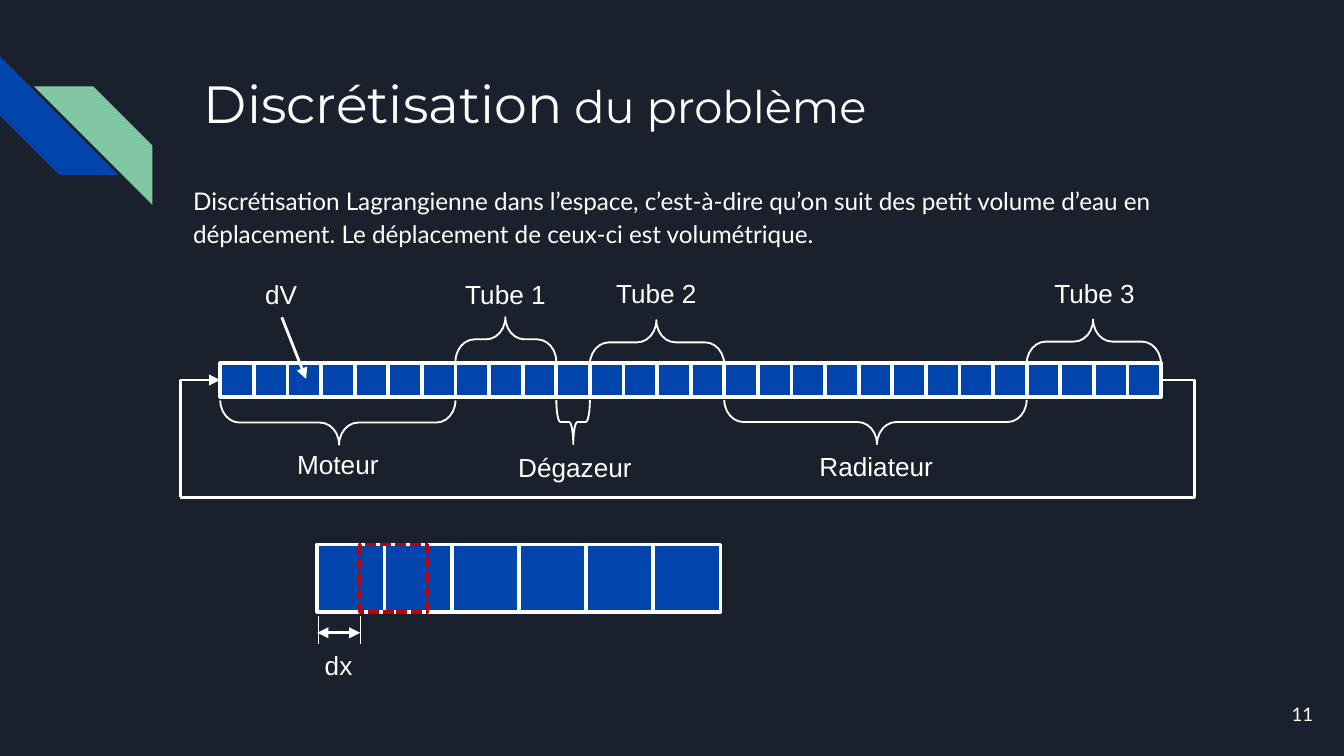
from dataclasses import dataclass

from pptx import Presentation
from pptx.dml.color import RGBColor
from pptx.enum.dml import MSO_LINE_DASH_STYLE as Dash
from pptx.enum.shapes import MSO_CONNECTOR_TYPE as Link, MSO_SHAPE as Shape
from pptx.enum.text import MSO_ANCHOR as Anchor, PP_ALIGN as Align
from pptx.oxml.ns import qn
from pptx.oxml.xmlchemy import OxmlElement
from pptx.util import Pt


@dataclass(frozen=True)
class Theme:
    """Colours, fonts and type sizes of the deck."""
    ground: str = "1B212C"
    blue: str = "0145AC"
    navy: str = "01337F"
    green: str = "82C7A5"
    white: str = "FFFFFF"
    red: str = "C00000"
    heading: str = "Montserrat"
    body: str = "Lato"
    label: str = "Arial"
    title_size: float = 28
    subtitle_size: float = 24
    body_size: float = 13
    label_size: float = 14
    number_size: float = 10


THEME = Theme()


def colour(code):
    """Turn a hex code into a colour."""
    return RGBColor.from_string(code)


def add_text(page, area, spans, font, align=Align.LEFT, inset=(7.2, 7.2),
             anchor=Anchor.TOP, spacing=None):
    """Add a text box of one paragraph from (text, size) spans."""
    box = page.shapes.add_textbox(*map(Pt, area))
    frame = box.text_frame
    frame.word_wrap = True
    frame.vertical_anchor = anchor
    frame.margin_left = frame.margin_right = Pt(inset[0])
    frame.margin_top = frame.margin_bottom = Pt(inset[1])
    para = frame.paragraphs[0]
    para.alignment = align
    if spacing:
        para.line_spacing = spacing
    for text, size in spans:
        span = para.add_run()
        span.text = text
        span.font.name = font
        span.font.size = Pt(size)
        span.font.color.rgb = colour(THEME.white)


def add_label(page, centre, top, text, width=84):
    """Add a centred diagram label."""
    add_text(page, (centre - width / 2, top, width, 24.5), [(text, THEME.label_size)],
             THEME.label, Align.CENTER, (7.2, 3.6))


def add_figure(page, kind, area, fill=None, line=None, width=2):
    """Add a preset shape with optional fill and outline."""
    figure = page.shapes.add_shape(kind, *map(Pt, area))
    figure.shadow.inherit = False
    if fill:
        figure.fill.solid()
        figure.fill.fore_color.rgb = colour(fill)
    else:
        figure.fill.background()
    if line:
        figure.line.color.rgb = colour(line)
        figure.line.width = Pt(width)
    else:
        figure.line.fill.background()
    return figure


def add_stripe(page, left, top, fill):
    """Add one diagonal corner stripe."""
    return add_figure(page, Shape.DIAGONAL_STRIPE, (left, top, 63.5, 63.5), fill)


def add_cells(page, left, top, size, count):
    """Add a blue bar divided into square volumes."""
    add_figure(page, Shape.RECTANGLE, (left, top, size * count, size), THEME.blue, THEME.navy)
    for index in range(count):
        add_figure(page, Shape.RECTANGLE, (left + index * size, top, size, size),
                   line=THEME.white)


def add_brace(page, left, span, middle, rotation, curve):
    """Add a horizontal brace over a span, centred on a height."""
    depth = 23.8
    area = (left + span / 2 - depth / 2, middle - span / 2, depth, span)
    brace = add_figure(page, Shape.RIGHT_BRACE, area, line=THEME.white, width=1)
    brace.rotation = rotation
    brace.adjustments[0] = curve
    brace.adjustments[1] = 0.495


def add_line(page, start, end, width=1.5, arrows=(), kind=Link.STRAIGHT):
    """Add a white connector with triangles at the named ends."""
    line = page.shapes.add_connector(kind, *map(Pt, (*start, *end)))
    line.line.color.rgb = colour(THEME.white)
    line.line.width = Pt(width)
    for name in arrows:
        tip = OxmlElement(f"a:{name}")
        tip.set("type", "triangle")
        line.line._ln.append(tip)
    line._element.spPr.append(OxmlElement("a:effectLst"))
    return line


def add_return_loop(page, left, right, middle, bottom):
    """Add the loop leading from the end of the row back to its start."""
    corner = left - 21.5
    outward = add_line(page, (right, middle), (corner, bottom), kind=Link.ELBOW)
    guide = OxmlElement("a:gd")
    guide.set("name", "adj1")
    guide.set("fmla", "val -3400")
    outward._element.spPr.find(qn("a:prstGeom")).get_or_add_avLst().append(guide)

    centre_x, centre_y = (corner + left) / 2, (middle + bottom) / 2
    half_x, half_y = (bottom - middle) / 2, (left - corner) / 2
    inward = add_line(page, (centre_x + half_x, centre_y + half_y),
                      (centre_x - half_x, centre_y - half_y),
                      arrows=["tailEnd"], kind=Link.ELBOW)
    properties = inward._element.spPr
    properties.find(qn("a:prstGeom")).set("prst", "bentConnector2")
    properties.find(qn("a:xfrm")).set("rot", "5400000")


def add_circuit(page):
    """Add the row of water volumes with its named sections."""
    left, top, size, count = 118, 194.6, 18, 28
    add_cells(page, left, top, size, count)
    sections = [
        ("Moteur", 0, 7, 226.4, 181, 236.9),
        ("Tube 1", 7, 3, 181.8, 270.8, 145.4),
        ("Dégazeur", 10, 1, 226.1, 308, 238.3),
        ("Tube 2", 11, 4, 183.4, 351.6, 145),
        ("Radiateur", 15, 9, 226.1, 469.4, 237.6),
        ("Tube 3", 24, 4, 183, 586.4, 144.9),
    ]
    for text, first, cells, middle, centre, label_top in sections:
        rotation = 90 if middle > top else 270
        curve = 0.123 if cells == 1 else 0.432
        add_brace(page, left + first * size, cells * size, middle, rotation, curve)
        add_label(page, centre, label_top, text)
    add_label(page, 150.6, 145.6, "dV", 32)
    add_line(page, (151, 170), (164, 203), arrows=["tailEnd"])
    add_return_loop(page, left, left + size * count, top + size / 2, 266.4)


def add_shift(page):
    """Add the enlarged volumes and their shift dx."""
    left, top, size, shift = 170, 291.8, 36, 23
    add_cells(page, left, top, size, 6)
    moved = add_figure(page, Shape.RECTANGLE, (left + shift, top, size, size), line=THEME.red)
    moved.line.dash_style = Dash.SQUARE_DOT
    add_line(page, (left, 339), (left + shift, 339), arrows=["headEnd", "tailEnd"])
    for mark in (left + 0.5, left + shift):
        add_line(page, (mark, 330), (mark, 345), 0.75)
    add_label(page, 181.4, 344.2, "dx", 36)


def main():
    """Build and save the slide."""
    deck = Presentation()
    deck.slide_width, deck.slide_height = Pt(720), Pt(405)
    page = deck.slides.add_slide(deck.slide_layouts[6])
    page.background.fill.solid()
    page.background.fill.fore_color.rgb = colour(THEME.ground)

    add_stripe(page, 0, 30.2, THEME.blue).rotation = 270
    mirrored = add_stripe(page, 18.2, 46.3, THEME.green)
    mirrored._element.spPr.find(qn("a:xfrm")).set("flipH", "1")

    add_text(page, (102.2, 31, 554.4, 72),
             [("Discrétisation", THEME.title_size), (" du problème", THEME.subtitle_size)],
             THEME.heading)
    add_text(page, (96.4, 90, 565.2, 60.5),
             [("Discrétisation Lagrangienne dans l’espace, c’est-à-dire qu’on suit des petit "
               "volume d’eau en déplacement. Le déplacement de ceux-ci est volumétrique.",
               THEME.body_size)], THEME.body, spacing=1.15)
    add_text(page, (667.4, 367.2, 43.2, 31), [("11", THEME.number_size)], THEME.body,
             Align.RIGHT, anchor=Anchor.MIDDLE)
    add_circuit(page)
    add_shift(page)
    deck.save("out.pptx")


if __name__ == "__main__":
    main()
